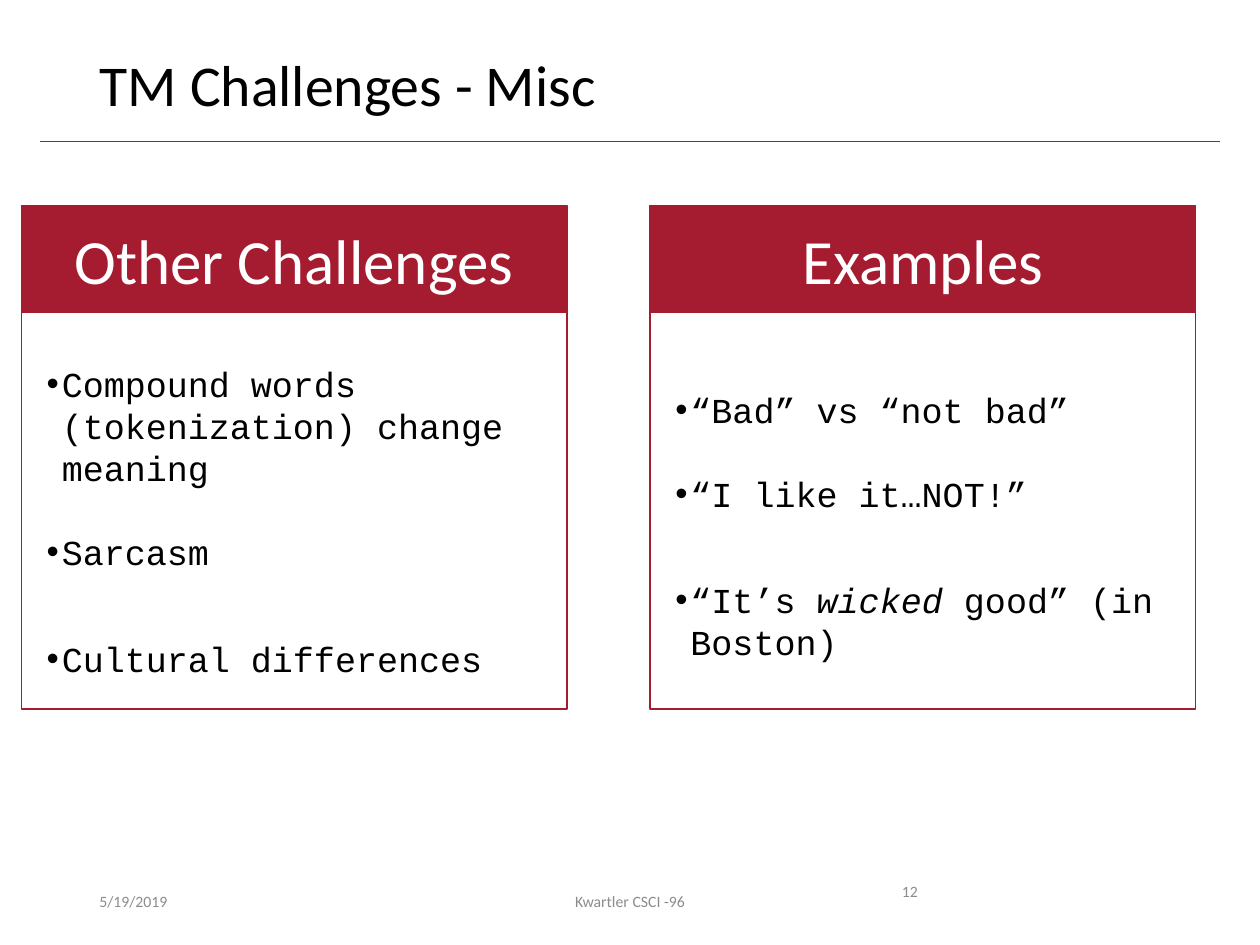
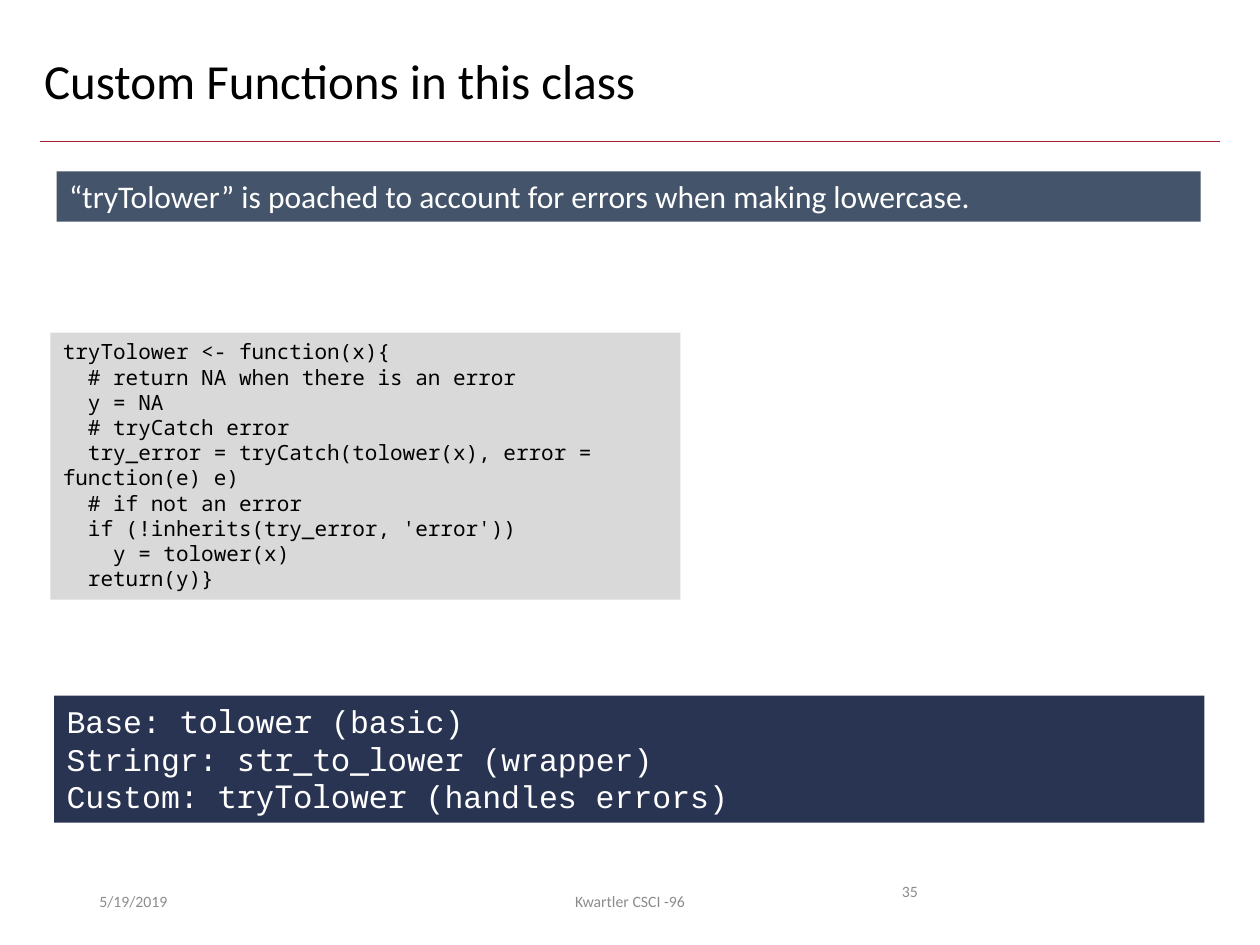
from lxml import etree
from pptx import Presentation
from pptx.dml.color import RGBColor
from pptx.enum.shapes import MSO_CONNECTOR, MSO_SHAPE
from pptx.enum.text import MSO_ANCHOR, MSO_AUTO_SIZE, PP_ALIGN
from pptx.oxml.ns import qn
from pptx.util import Emu, Pt

RECT = MSO_SHAPE.RECTANGLE
STRAIGHT = MSO_CONNECTOR.STRAIGHT
LEFT, CENTER = PP_ALIGN.LEFT, PP_ALIGN.CENTER
TOP, MIDDLE = MSO_ANCHOR.TOP, MSO_ANCHOR.MIDDLE
NO_AUTOFIT = MSO_AUTO_SIZE.NONE

PX = 9144  # 100 px to the inch
COLORS = {
    "crimson": "A51C30",
    "slate": "44546A",
    "navy": "293352",
    "code_bg": "D9D9D9",
    "footer": "8C8C8C",
    "black": "000000",
    "white": "FFFFFF",
}
SANS, TYPEWRITER, CODE = "Calibri", "Courier New", "Noto Sans Mono"
TITLE_ONLY, TWO_CONTENT = 5, 3


def px(*lengths):
    return [Emu(n * PX) for n in lengths]


def rgb(name):
    return RGBColor.from_string(COLORS[name])


def add_bullet(p, indent):
    pPr = p._p.get_or_add_pPr()
    pPr.set("marL", str(indent * PX))
    pPr.set("indent", str(-indent * PX))
    etree.SubElement(pPr, qn("a:buFont")).set("typeface", "Arial")
    etree.SubElement(pPr, qn("a:buChar")).set("char", "•")


def write(sp, paragraphs, size=18, font=SANS, color="black", align=LEFT,
          anchor=TOP, spacing=None, gaps=(), indent=None):
    """Fill sp; a paragraph is a string or a list of strings and
    (text, overrides) pairs, and gaps are the points between paragraphs."""
    tf = sp.text_frame
    tf.word_wrap = True
    tf.auto_size = NO_AUTOFIT
    tf.vertical_anchor = anchor
    for i, runs in enumerate(paragraphs):
        p = tf.add_paragraph() if i else tf.paragraphs[0]
        if indent:
            add_bullet(p, indent)
        p.alignment = align
        p.space_before = Pt(gaps[i - 1] if i and gaps else 0)
        if spacing:
            p.line_spacing = spacing
        for run in [runs] if isinstance(runs, str) else runs:
            text, style = (run, {}) if isinstance(run, str) else run
            r = p.add_run()
            r.text = text
            r.font.name = style.get("font", font)
            r.font.size = Pt(size)
            r.font.italic = style.get("italic")
            r.font.color.rgb = rgb(color)


class Deck:
    def __init__(self):
        self.prs = Presentation()
        self.prs.slide_width, self.prs.slide_height = px(1000, 750)
        self.s = None

    def new_slide(self, layout, title, number, left=69, width=862, size=33):
        self.s = self.prs.slides.add_slide(self.prs.slide_layouts[layout])
        self.rule()
        self.placeholder(0, (left, 40, width, 65), [title], size=size,
                         spacing=0.9)
        self.footer((69, 695, 225, 40), "5/19/2019", anchor=MIDDLE)
        self.footer((331, 695, 338, 40), "Kwartler CSCI -96", align=CENTER,
                    anchor=MIDDLE)
        self.footer((706, 695, 94, 40), str(number))

    def rule(self):
        line = self.s.shapes.add_connector(STRAIGHT, *px(32, 112, 968, 112))
        line.line.color.rgb = rgb("crimson")
        line.line.width = Pt(0.5)
        etree.SubElement(line._element.spPr, qn("a:effectLst"))

    def placeholder(self, idx, box, paragraphs, **style):
        sp = self.s.placeholders[idx]
        sp.left, sp.top, sp.width, sp.height = px(*box)
        write(sp, paragraphs, **style)

    def footer(self, box, text, **style):
        write(self.s.shapes.add_textbox(*px(*box)), [text], size=9,
              color="footer", **style)

    def box(self, box, paragraphs=(), fill=None, line=None, **style):
        sp = self.s.shapes.add_shape(RECT, *px(*box))
        sp.shadow.inherit = False
        if fill:
            sp.fill.solid()
            sp.fill.fore_color.rgb = rgb(fill)
        else:
            sp.fill.background()
        if line:
            sp.line.color.rgb = rgb(line)
            sp.line.width = Pt(1)
        else:
            sp.line.fill.background()
        write(sp, paragraphs, **style)

    def panel(self, idx, left, heading, list_top, list_height, items):
        """Outlined card with a filled heading and a bulleted list."""
        self.placeholder(idx, (left + 10, list_top, 415, list_height), items,
                         size=20, font=TYPEWRITER, gaps=(24, 37), indent=12)
        self.box((left, 163, 433, 85), [heading], fill="crimson",
                 line="crimson", size=36, color="white", align=CENTER,
                 anchor=MIDDLE)
        self.box((left, 178, 433, 385), line="crimson")


def challenges_slide(deck):
    deck.new_slide(TWO_CONTENT, "TM Challenges - Misc", 12)
    deck.panel(1, 17, "Other Challenges", 283, 231, [
        "Compound words (tokenization) change meaning",
        "Sarcasm",
        "Cultural differences",
    ])
    deck.panel(2, 516, "Examples", 303, 197, [
        "“Bad” vs “not bad”",
        "“I like it…NOT!”",
        ["“It’s ", ("wicked", {"italic": True}), " good” (in Boston)"],
    ])


def functions_slide(deck):
    deck.new_slide(TITLE_ONLY, "Custom Functions in this class", 35,
                   left=25, width=947, size=28)
    code = """tryTolower <- function(x){
  # return NA when there is an error
  y = NA
  # tryCatch error
  try_error = tryCatch(tolower(x), error = function(e) e)
  # if not an error
  if (!inherits(try_error, 'error'))
    y = tolower(x)
  return(y)}"""
    deck.box((40, 264, 500, 212), code.split("\n"), fill="code_bg", size=12,
             font=CODE)
    deck.box((45, 136, 908, 40),
             ["“tryTolower” is poached to account for errors when making "
              "lowercase."], fill="slate", color="white")
    options = [
        ("Base", "tolower", "basic"),
        ("Stringr", "str_to_lower", "wrapper"),
        ("Custom", "tryTolower", "handles errors"),
    ]
    deck.box((43, 552, 913, 101),
             [[f"{source}: ", (name, {"font": CODE}), f" ({note})"]
              for source, name, note in options],
             fill="navy", font=TYPEWRITER, color="white")


def main():
    deck = Deck()
    challenges_slide(deck)
    functions_slide(deck)
    deck.prs.save("out.pptx")


if __name__ == "__main__":
    main()
